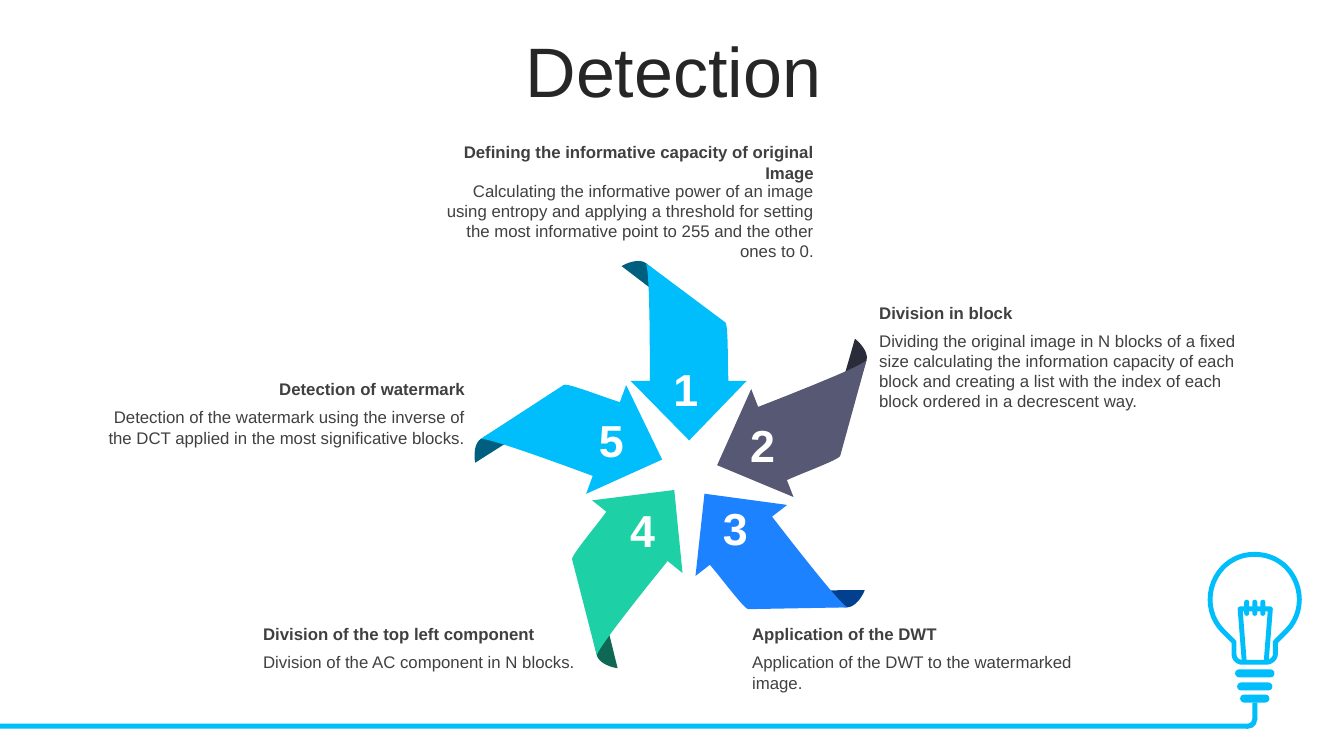
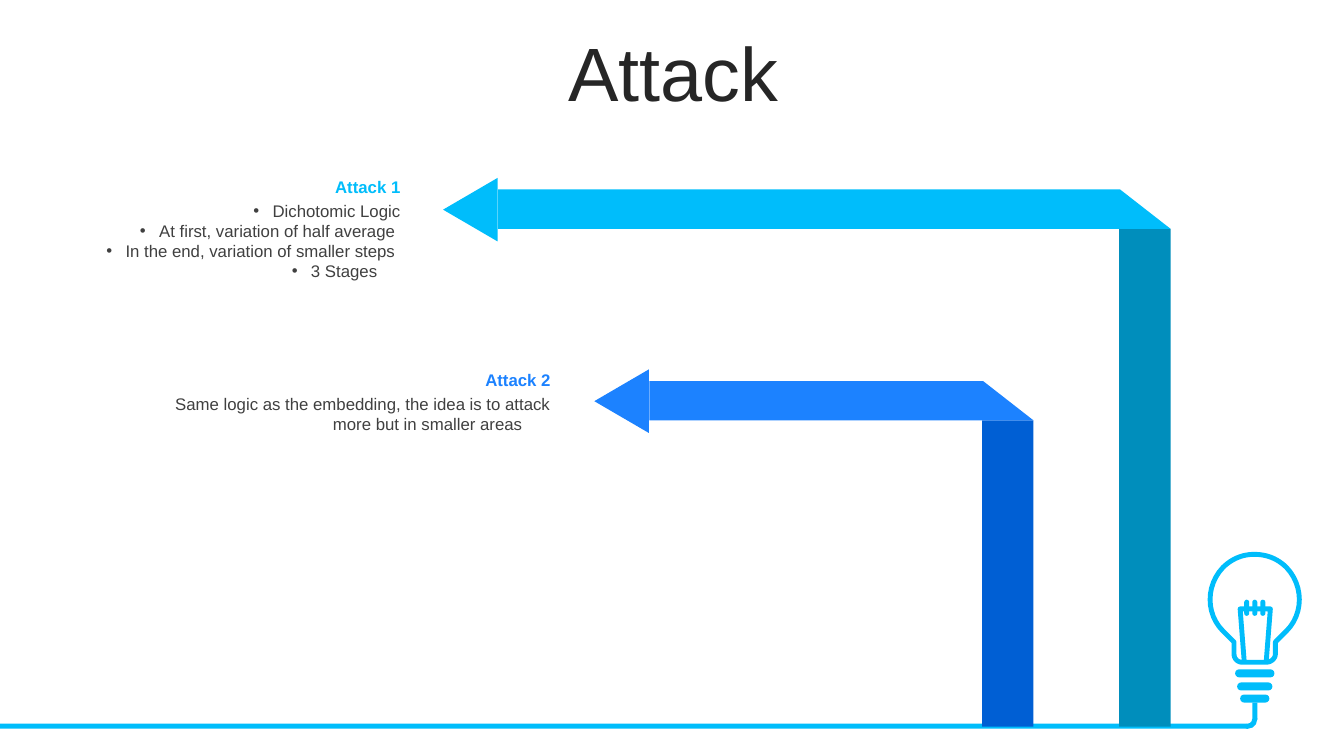
from dataclasses import dataclass, field
from math import cos, radians, sin

from lxml import etree
from pptx import Presentation
from pptx.dml.color import RGBColor
from pptx.enum.shapes import MSO_SHAPE
from pptx.enum.text import MSO_ANCHOR, MSO_AUTO_SIZE, PP_ALIGN
from pptx.oxml.ns import qn
from pptx.shapes.autoshape import Shape
from pptx.slide import Slide
from pptx.util import Emu, Pt

RECTANGLE = MSO_SHAPE.RECTANGLE
ROUNDED = MSO_SHAPE.ROUNDED_RECTANGLE
TRIANGLE = MSO_SHAPE.ISOSCELES_TRIANGLE
BLOCK_ARC = MSO_SHAPE.BLOCK_ARC
TOP, MIDDLE = MSO_ANCHOR.TOP, MSO_ANCHOR.MIDDLE
GROW = MSO_AUTO_SIZE.SHAPE_TO_FIT_TEXT
LEFT, CENTER, RIGHT = PP_ALIGN.LEFT, PP_ALIGN.CENTER, PP_ALIGN.RIGHT

EMU_PER_PX = 9144
CURVE_STEPS = 12
Path = list[tuple[int, ...]]


@dataclass(frozen=True)
class Theme:
    font: str = "Arial"
    body_size: int = 12
    number_size: int = 32
    bulb_line: float = 3.5
    white: RGBColor = RGBColor(0xFF, 0xFF, 0xFF)
    title: RGBColor = RGBColor(0x26, 0x26, 0x26)
    text: RGBColor = RGBColor(0x40, 0x40, 0x40)
    cyan: RGBColor = RGBColor(0x00, 0xBD, 0xFB)
    cyan_fold: RGBColor = RGBColor(0x00, 0x5E, 0x7E)
    cyan_pillar: RGBColor = RGBColor(0x00, 0x8E, 0xBC)
    slate: RGBColor = RGBColor(0x56, 0x58, 0x74)
    slate_fold: RGBColor = RGBColor(0x2B, 0x2C, 0x3A)
    blue: RGBColor = RGBColor(0x1C, 0x82, 0xFF)
    blue_fold: RGBColor = RGBColor(0x00, 0x40, 0x8E)
    blue_pillar: RGBColor = RGBColor(0x00, 0x5F, 0xD4)
    green: RGBColor = RGBColor(0x1E, 0xD0, 0xA6)
    green_fold: RGBColor = RGBColor(0x0F, 0x68, 0x53)


THEME = Theme()


@dataclass(frozen=True)
class Box:
    left: int
    top: int
    width: int
    height: int


@dataclass(frozen=True)
class Line:
    text: str
    bullet: bool = False
    right_indent: int = 0


@dataclass(frozen=True)
class Style:
    size: int = THEME.body_size
    color: RGBColor = THEME.text
    bold: bool = False
    align: PP_ALIGN = LEFT
    anchor: MSO_ANCHOR = TOP
    inset_left: int = 10
    wrap: bool = True
    grow: bool = True
    paragraph: dict = field(default_factory=dict)


@dataclass(frozen=True)
class Blade:
    number: str
    center_x: int
    center_y: int
    angle: float
    color: RGBColor
    fold_color: RGBColor
    number_left: int
    number_top: int


@dataclass(frozen=True)
class Note:
    heading: str
    body: str
    box: Box
    align: PP_ALIGN = LEFT
    body_offset: int = 28
    body_height: int = 50


@dataclass(frozen=True)
class Attack:
    heading: str
    lines: list[Line]
    text_left: int
    text_top: int
    text_height: int
    band_left: int
    band_top: int
    pillar_left: int
    color: RGBColor
    pillar_color: RGBColor


BULB: Path = [
    (1244, 550), (1256, 550, 1267, 554, 1276, 563),
    (1293, 581, 1293, 609, 1276, 626), (1265, 637), (1265, 649),
    (1265, 653, 1261, 657, 1256, 657), (1232, 657),
    (1227, 657, 1224, 653, 1224, 649), (1224, 637), (1213, 626),
    (1196, 609, 1196, 581, 1213, 563), (1222, 554, 1233, 550, 1244, 550),
]
FILAMENT: Path = [(1234, 655), (1230, 604), (1260, 604), (1256, 655)]
PRONGS = [Box(1234 + 8 * index, 595, 5, 16) for index in range(3)]
BASE_BARS = [Box(1225, 664, 39, 8), Box(1227, 677, 35, 8), Box(1230, 689, 29, 8)]

ARROW: Path = [
    (640, 261), (719, 320), (722, 324, 721, 359, 722, 378), (740, 378),
    (683, 437), (625, 378), (644, 378), (644, 340, 644, 267, 640, 261),
]
FOLD: Path = [(640, 261), (633, 256, 621, 261, 616, 264), (696, 325), (717, 321)]
FOLD_OFFSET = (-16, -57)

BLADES = [
    Blade("1", 683, 349, 0, THEME.cyan, THEME.cyan_fold, 658, 354),
    Blade("2", 793, 429, 68.6, THEME.slate, THEME.slate_fold, 734, 409),
    Blade("3", 753, 559, 142.2, THEME.blue, THEME.blue_fold, 707, 492),
    Blade("4", 614, 555, 218.8, THEME.green, THEME.green_fold, 615, 494),
    Blade("5", 574, 426, 290.2, THEME.cyan, THEME.cyan_fold, 584, 405),
]

NOTES = [
    Note("Division in block",
         "Dividing the original image in N blocks of a fixed size calculating the "
         "information capacity of each block and creating a list with the index of "
         "each block ordered in a decrescent way.",
         Box(872, 295, 377, 30), body_height=91),
    Note("Application of the DWT", "Application of the DWT to the watermarked image.",
         Box(746, 614, 377, 30)),
    Note("Defining the informative capacity of original Image",
         "Calculating the informative power of an image using entropy and applying a "
         "threshold for setting the most informative point to 255 and the other ones to 0.",
         Box(435, 136, 382, 50), RIGHT, 38, 91),
    Note("Detection of watermark",
         "Detection of the watermark using the inverse of the DCT applied in the most "
         "significative blocks.",
         Box(89, 371, 382, 30), RIGHT),
    Note("Division of the top left component", "Division of the AC component in N blocks.",
         Box(261, 614, 377, 30), body_height=30),
]

ATTACKS = [
    Attack("Attack 1",
           [Line("Dichotomic Logic", True),
            Line("At first, variation of half average", True, 5),
            Line("In the end, variation of smaller steps", True, 5),
            Line("3 Stages", True, 23)],
           -8, 170, 91, 494, 188, 1110, THEME.cyan, THEME.cyan_pillar),
    Attack("Attack 2",
           [Line("Same logic as the embedding, the idea is to attack"),
            Line("more but in smaller areas", right_indent=28)],
           141, 362, 50, 644, 378, 974, THEME.blue, THEME.blue_pillar),
]


def px(length: float) -> Emu:
    return Emu(round(length * EMU_PER_PX))


def paint(shape: Shape, fill: RGBColor | None, line: RGBColor | None = None,
          line_width: float = 0) -> None:
    shape.shadow.inherit = False
    if fill is None:
        shape.fill.background()
    else:
        shape.fill.solid()
        shape.fill.fore_color.rgb = fill
    if line is None:
        shape.line.fill.background()
    else:
        shape.line.color.rgb = line
        shape.line.width = Pt(line_width)


def add_block(page: Slide, kind: MSO_SHAPE, box: Box, fill: RGBColor,
              adjustments: tuple[float, ...] = (), rotation: float = 0) -> None:
    shape = page.shapes.add_shape(
        kind, px(box.left), px(box.top), px(box.width), px(box.height))
    for index, value in enumerate(adjustments):
        shape.adjustments[index] = value
    shape.rotation = rotation
    paint(shape, fill)


def flatten(outline: Path) -> list[tuple[float, float]]:
    points: list[tuple[float, float]] = [outline[0]]
    for segment in outline[1:]:
        if len(segment) == 2:
            points.append(segment)
            continue
        corners = [points[-1], segment[:2], segment[2:4], segment[4:]]
        for step in range(1, CURVE_STEPS + 1):
            t = step / CURVE_STEPS
            weights = ((1 - t) ** 3, 3 * t * (1 - t) ** 2, 3 * t * t * (1 - t), t ** 3)
            points.append(tuple(
                sum(weight * corner[axis] for weight, corner in zip(weights, corners))
                for axis in (0, 1)))
    return points


def add_outline(page: Slide, outline: Path, closed: bool = True) -> Shape:
    points = [(px(x), px(y)) for x, y in flatten(outline)]
    builder = page.shapes.build_freeform(*points[0], scale=1.0)
    builder.add_line_segments(points[1:], close=closed)
    return builder.convert_to_shape()


def add_text(page: Slide, box: Box, lines: list[Line], style: Style) -> None:
    frame = page.shapes.add_textbox(
        px(box.left), px(box.top), px(box.width), px(box.height)).text_frame
    frame_format = {
        "word_wrap": style.wrap,
        "vertical_anchor": style.anchor,
        "margin_left": px(style.inset_left),
        "auto_size": GROW if style.grow else MSO_AUTO_SIZE.NONE,
    }
    for name, value in frame_format.items():
        setattr(frame, name, value)
    for index, line in enumerate(lines):
        para = frame.add_paragraph() if index else frame.paragraphs[0]
        for name, value in {"alignment": style.align, **style.paragraph}.items():
            setattr(para, name, value)
        span = para.add_run()
        span.text = line.text
        font_format = {"name": THEME.font, "size": Pt(style.size), "bold": style.bold}
        for name, value in font_format.items():
            setattr(span.font, name, value)
        span.font.color.rgb = style.color
        indent_paragraph(para._p.get_or_add_pPr(), line)


def indent_paragraph(properties: etree._Element, line: Line) -> None:
    if line.right_indent:
        properties.set("marR", str(px(line.right_indent)))
    if line.bullet:
        properties.set("marL", str(px(19)))
        properties.set("indent", str(px(-19)))
        etree.SubElement(properties, qn("a:buFont")).set("typeface", THEME.font)
        etree.SubElement(properties, qn("a:buChar")).set("char", "•")


def add_page(deck: Presentation, title: str, size: int, spacing: float) -> Slide:
    page = deck.slides.add_slide(deck.slide_layouts[6])
    paint(add_outline(page, BULB), THEME.white, THEME.cyan, THEME.bulb_line)
    paint(add_outline(page, FILAMENT, False), None, THEME.cyan, THEME.bulb_line)
    for bar in PRONGS + BASE_BARS:
        add_block(page, ROUNDED, bar, THEME.cyan, (0.5,))
    add_block(page, RECTANGLE, Box(0, 718, 1237, 5), THEME.cyan)
    add_block(page, RECTANGLE, Box(1242, 697, 5, 17), THEME.cyan)
    add_block(page, BLOCK_ARC, Box(1228, 704, 19, 19), THEME.cyan, (213.39, 60.92, 0.27))
    paragraph = {"line_spacing": spacing, "space_before": Pt(10)}
    add_text(page, Box(35, 37, 1266, 79), [Line(title)],
             Style(size, THEME.title, align=CENTER, anchor=MIDDLE, grow=False,
                   paragraph=paragraph))
    return page


def add_blade(page: Slide, blade: Blade) -> None:
    across, down = FOLD_OFFSET
    cosine, sine = cos(radians(blade.angle)), sin(radians(blade.angle))
    fold_x = blade.center_x + across * cosine - down * sine
    fold_y = blade.center_y + across * sine + down * cosine
    for outline, x, y, color in (
        (FOLD, fold_x, fold_y, blade.fold_color),
        (ARROW, blade.center_x, blade.center_y, blade.color),
    ):
        shape = add_outline(page, outline)
        shape.left, shape.top = px(x) - shape.width // 2, px(y) - shape.height // 2
        shape.rotation = blade.angle
        paint(shape, color)


def add_note(page: Slide, note: Note) -> None:
    box = note.box
    add_text(page, box, [Line(note.heading)],
             Style(bold=True, align=note.align, anchor=MIDDLE, inset_left=0))
    body_box = Box(box.left, box.top + note.body_offset, box.width, note.body_height)
    add_text(page, body_box, [Line(note.body)], Style(align=note.align, inset_left=0))


def add_attack(page: Slide, attack: Attack) -> None:
    left, top, pillar = attack.band_left, attack.band_top, attack.pillar_left
    bottom = top + 39
    add_block(page, RECTANGLE, Box(pillar, bottom, 51, 721 - bottom), attack.pillar_color)
    band = [(left, top), (pillar + 1, top), (pillar + 51, bottom), (left, bottom)]
    paint(add_outline(page, band), attack.color)
    add_block(page, TRIANGLE, Box(left - 59, top - 7, 63, 54), attack.color, rotation=270)
    add_text(page, Box(attack.text_left, attack.text_top + 24, 415, attack.text_height),
             attack.lines, Style(align=RIGHT))
    add_text(page, Box(attack.text_left, attack.text_top, 415, 30), [Line(attack.heading)],
             Style(color=attack.color, bold=True, align=RIGHT))


def main() -> None:
    deck = Presentation()
    deck.slide_width, deck.slide_height = px(1333), px(750)
    detection = add_page(deck, "Detection", 50, 0.8)
    for blade in BLADES:
        add_blade(detection, blade)
    for note in NOTES:
        add_note(detection, note)
    for blade in BLADES:
        add_text(detection, Box(blade.number_left, blade.number_top, 45, 64),
                 [Line(blade.number)],
                 Style(THEME.number_size, THEME.white, True, wrap=False))
    attack_page = add_page(deck, "Attack", 54, 0.9)
    for attack in ATTACKS:
        add_attack(attack_page, attack)
    deck.save("out.pptx")


if __name__ == "__main__":
    main()
